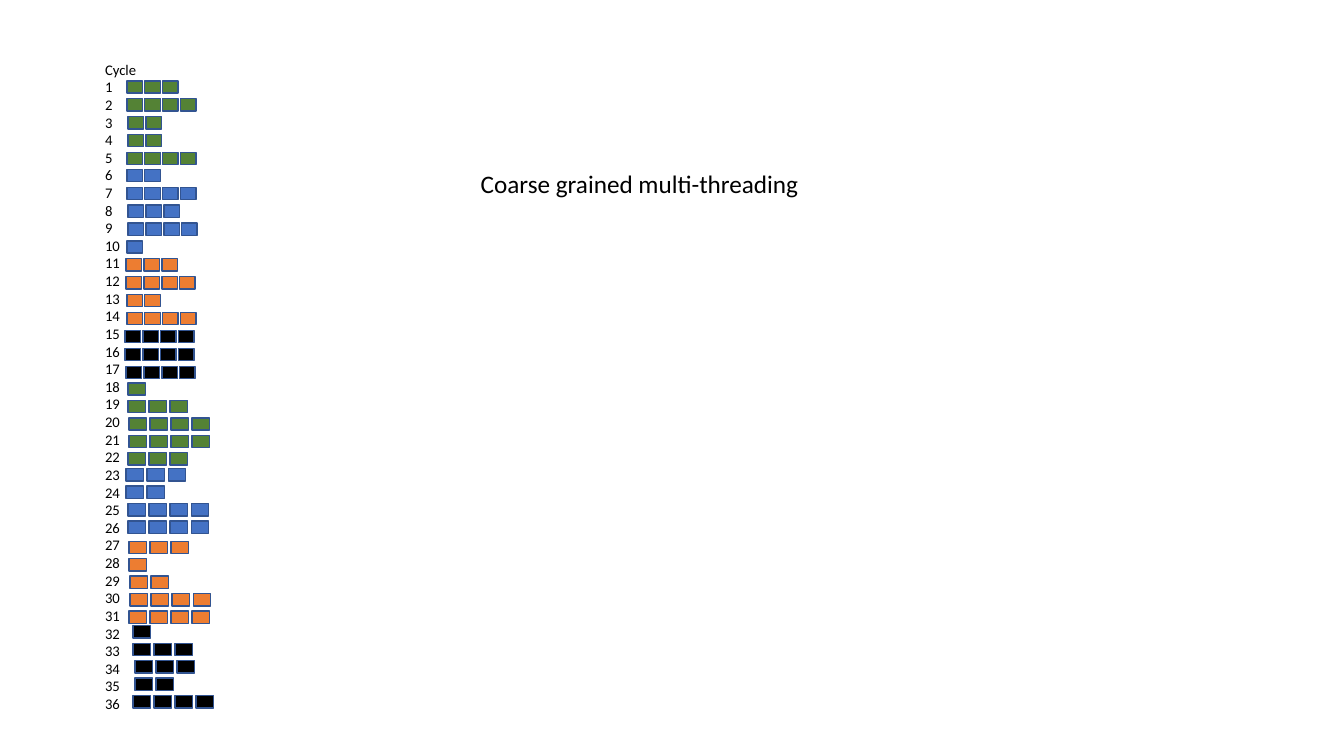
from pptx import Presentation
from pptx.dml.color import RGBColor
from pptx.enum.shapes import MSO_SHAPE
from pptx.enum.text import MSO_ANCHOR, MSO_AUTO_SIZE, PP_ALIGN
from pptx.util import Cm, Pt

COLOURS = {
    "green": "548235",
    "blue": "4472C4",
    "orange": "ED7D31",
    "black": "000000",
    "outline": "325491",
    "text": "000000",
}

# Each thread: colour, top of its first cycle, then (left, issued slots) per cycle
FIRST_ROUND = [
    ("green", 2.04, [(3.2, 3), (3.2, 4), (3.23, 2), (3.23, 2), (3.2, 4)]),
    ("blue", 4.27, [(3.2, 2), (3.2, 4), (3.23, 3), (3.23, 4), (3.2, 1)]),
    ("orange", 6.52, [(3.18, 3), (3.18, 4), (3.2, 2), (3.2, 4)]),
    ("black", 8.33, [(3.15, 4), (3.15, 4), (3.18, 4)]),
]
SECOND_ROUND = [
    ("green", 9.65, [(3.23, 1), (3.23, 3), (3.25, 4), (3.25, 4), (3.23, 3)]),
    ("blue", 11.81, [(3.18, 3), (3.18, 2), (3.23, 4), (3.23, 4)]),
    ("orange", 13.64, [(3.25, 3), (3.25, 1), (3.28, 2), (3.28, 4), (3.25, 4)]),
    ("black", 15.77, [(3.35, 1), (3.35, 3), (3.4, 3), (3.4, 2), (3.35, 4)]),
]
CYCLES = 36
SLOT_HEIGHT = 0.31


class Page:
    """Holds the slide and its shared text and line style."""

    font = "Calibri"
    line_width = Pt(1)

    def __init__(self, deck):
        self.slide = deck.slides.add_slide(deck.slide_layouts[5])

    def colour(self, name):
        return RGBColor.from_string(COLOURS[name])

    def fill_text(self, box, lines, size):
        frame = box.text_frame
        frame.word_wrap = False
        frame.auto_size = MSO_AUTO_SIZE.NONE
        frame.vertical_anchor = MSO_ANCHOR.TOP
        frame.text = "\n".join(lines)
        for para in frame.paragraphs:
            para.alignment = PP_ALIGN.LEFT
            para.font.name = self.font
            para.font.size = Pt(size)
            para.font.color.rgb = self.colour("text")

    def title(self, text, left, top, width, height, size):
        box = self.slide.shapes.title
        box.left, box.top = Cm(left), Cm(top)
        box.width, box.height = Cm(width), Cm(height)
        self.fill_text(box, [text], size)

    def text(self, lines, left, top, width, height, size):
        box = self.slide.shapes.add_textbox(
            Cm(left), Cm(top), Cm(width), Cm(height))
        self.fill_text(box, lines, size)

    def slot(self, group, left, top, width, fill):
        box = group.shapes.add_shape(
            MSO_SHAPE.RECTANGLE, Cm(left), Cm(top), Cm(width), Cm(SLOT_HEIGHT))
        box.shadow.inherit = False
        box.fill.solid()
        box.fill.fore_color.rgb = self.colour(fill)
        box.line.color.rgb = self.colour("outline")
        box.line.width = self.line_width

    def issue_slots(self, threads, width, column_step, row_step):
        group = self.slide.shapes.add_group_shape()
        for fill, first_top, cycles in threads:
            for row, (left, count) in enumerate(cycles):
                for column in range(count):
                    self.slot(group, left + column * column_step,
                              first_top + row * row_step, width, fill)


def main():
    deck = Presentation()
    deck.slide_width, deck.slide_height = Cm(33.87), Cm(19.05)
    page = Page(deck)

    # Issue slots used in each cycle
    page.issue_slots(FIRST_ROUND, width=0.39, column_step=0.45, row_step=0.45)
    page.issue_slots(SECOND_ROUND, width=0.44, column_step=0.53, row_step=0.44)

    # Cycle numbers
    labels = ["Cycle"] + [str(cycle) for cycle in range(1, CYCLES + 1)]
    page.text(labels, 2.4, 1.4, 1.4, 16.87, 10.5)

    # Title
    page.title("Coarse grained multi-threading", 11.86, 4.11, 8.61, 1.02, 18)

    deck.save("out.pptx")


if __name__ == "__main__":
    main()
